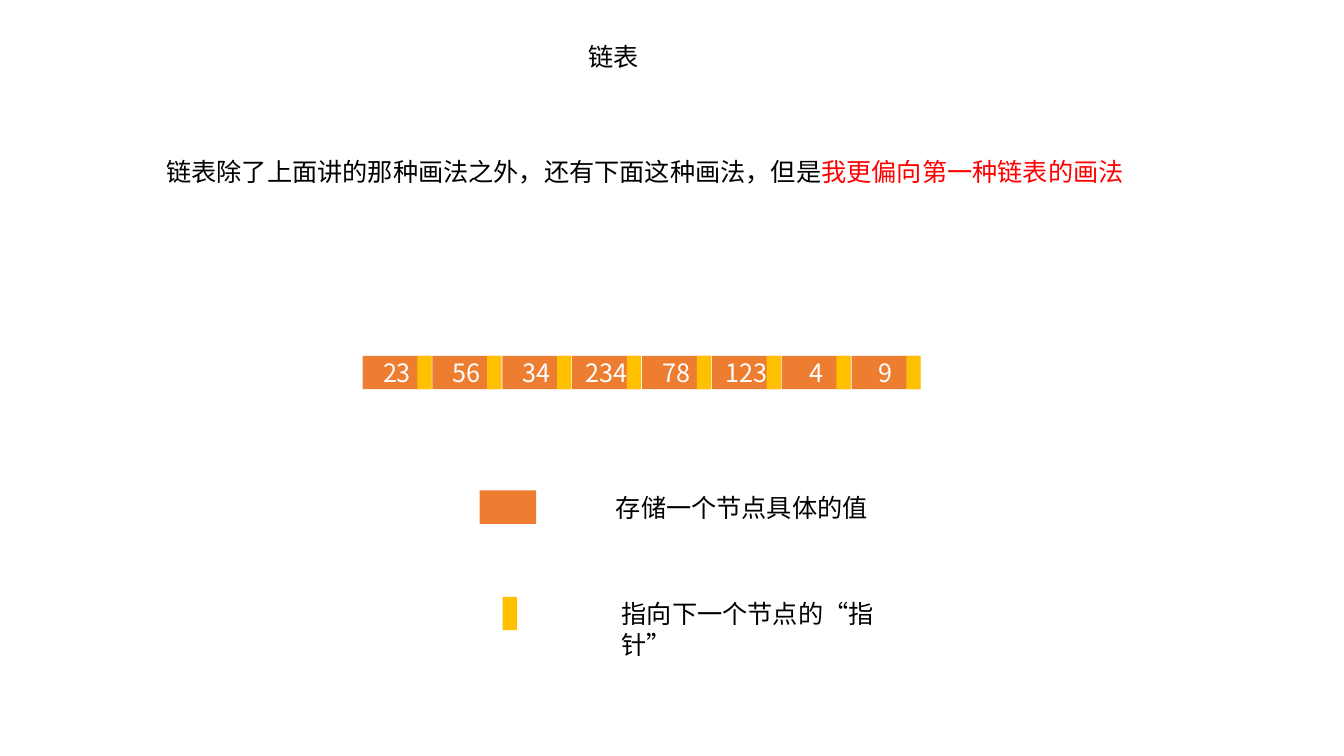
"""Build the slide on an alternative way of drawing a linked list."""
from pptx import Presentation
from pptx.dml.color import RGBColor as Rgb
from pptx.enum.shapes import MSO_SHAPE as Preset
from pptx.enum.text import MSO_ANCHOR as Anchor, PP_ALIGN as Align
from pptx.oxml.ns import qn
from pptx.util import Cm, Pt
from lxml.etree import SubElement

THEME = {
    "value": Rgb.from_string("ED7D31"),
    "pointer": Rgb.from_string("FFC000"),
    "ink": Rgb.from_string("000000"),
    "accent": Rgb.from_string("FF0000"),
    "light": Rgb.from_string("FFFFFF"),
    "type": {"size": Pt(18), "name": "Noto Sans CJK SC"},
}
CELL_HEIGHT = 0.84
POINTER_WIDTH = 0.36

deck = Presentation()
deck.slide_width, deck.slide_height = Cm(33.87), Cm(19.05)
slide = deck.slides.add_slide(deck.slide_layouts[6])


def write(paragraph, wording, color):
    run = paragraph.add_run()
    run.text = wording
    for attribute, setting in THEME["type"].items():
        setattr(run.font, attribute, setting)
    run.font.color.rgb = THEME[color]
    SubElement(run.font._element, qn("a:ea"), typeface=THEME["type"]["name"])


def add_cell(left, top, width, color):
    cell = slide.shapes.add_shape(
        Preset.RECTANGLE, Cm(left), Cm(top), Cm(width), Cm(CELL_HEIGHT))
    cell.shadow.inherit = False
    cell.fill.solid()
    cell.fill.fore_color.rgb = THEME[color]
    cell.line.fill.background()
    return cell


list_left, list_top = 9.14, 8.97
node_pitch, node_width, pointer_offset = 1.76, 1.73, 1.38
node_values = ["23", "56", "34", "234", "78", "123", "4", "9"]
for index, node_value in enumerate(node_values):
    node_left = list_left + index * node_pitch
    node = add_cell(node_left, list_top, node_width, "value")
    node.text_frame.vertical_anchor = Anchor.MIDDLE
    number = node.text_frame.paragraphs[0]
    number.alignment = Align.CENTER
    write(number, node_value, "light")
    add_cell(node_left + pointer_offset, list_top, POINTER_WIDTH, "pointer")

add_cell(12.09, 12.36, 1.42, "value")
add_cell(12.67, 15.04, POINTER_WIDTH, "pointer")

passages = [
    (14.58, 0.91, 1.8, False, [("链表", "ink")]),
    (3.94, 3.81, 24.87, False, [
        ("链表除了上面讲的那种画法之外，还有下面这种画法，但是", "ink"),
        ("我更偏向第一种链表的画法", "accent")]),
    (15.27, 12.27, 6.93, False, [("存储一个节点具体的值", "ink")]),
    (15.42, 14.96, 7.39, True, [("指向下一个节点的“指针”", "ink")]),
]
for left, top, width, wraps, phrases in passages:
    passage = slide.shapes.add_textbox(Cm(left), Cm(top), Cm(width), Cm(1.02))
    passage.text_frame.word_wrap = wraps
    for wording, color in phrases:
        write(passage.text_frame.paragraphs[0], wording, color)

deck.save("out.pptx")
